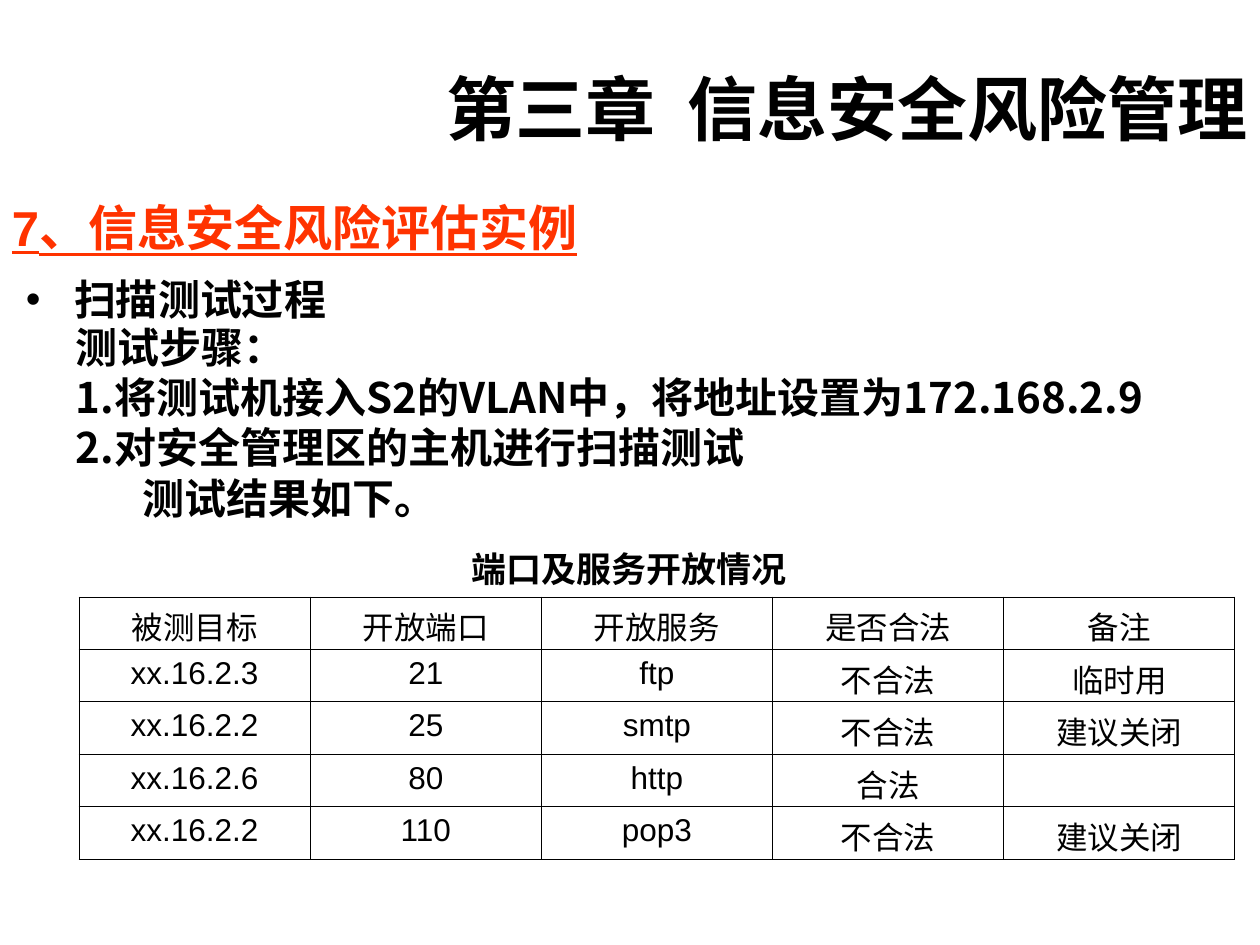
"""Build a slide on a security risk assessment example with a port table."""
import dataclasses
import typing

import lxml.etree
import pptx
import pptx.dml.color
import pptx.enum.text
import pptx.oxml.ns
import pptx.util

EMU_PER_PX = 914400 / 126
BLACK = "000000"
RED = "FF3300"
CJK = "Noto Sans CJK JP"
LEFT = pptx.enum.text.PP_ALIGN.LEFT
RIGHT = pptx.enum.text.PP_ALIGN.RIGHT
CENTER = pptx.enum.text.PP_ALIGN.CENTER
TOP = pptx.enum.text.MSO_ANCHOR.TOP
MIDDLE = pptx.enum.text.MSO_ANCHOR.MIDDLE
INSET_X = 13
INSET_Y = 6


@dataclasses.dataclass(frozen=True)
class Line:
    text: str
    bullet: str = ""
    margin: int = 0
    indent: int = 0


@dataclasses.dataclass(frozen=True)
class TextBlock:
    left: int
    top: int
    width: int
    height: int
    lines: tuple[Line, ...]
    size: int
    font: str = CJK
    color: str = BLACK
    underline: bool = False
    align: typing.Any = LEFT
    anchor: typing.Any = TOP
    spacing: float | None = None


BLOCKS = (
    TextBlock(199, 74, 1061, 67, (Line("第三章  信息安全风险管理"),), 40,
              font="Noto Sans CJK SC", align=RIGHT, anchor=MIDDLE),
    TextBlock(-1, 192, 1260, 72, (Line("7、信息安全风险评估实例"),), 28,
              font="Arial", color=RED, underline=True),
    TextBlock(13, 268, 1205, 113, (Line("扫描测试过程", "•", 48, -48),), 24, spacing=28.8),
    TextBlock(63, 315, 1171, 214, (
        Line("测试步骤："),
        Line("将测试机接入S2的VLAN中，将地址设置为172.168.2.9", "1."),
        Line("对安全管理区的主机进行扫描测试", "1."),
        Line("测试结果如下。", margin=67),
    ), 24, anchor=MIDDLE, spacing=28.8),
    TextBlock(458, 541, 360, 55, (Line("端口及服务开放情况"),), 20, spacing=24),
)

PORT_ROWS = (
    ("被测目标", "开放端口", "开放服务", "是否合法", "备注"),
    ("xx.16.2.3", "21", "ftp", "不合法", "临时用"),
    ("xx.16.2.2", "25", "smtp", "不合法", "建议关闭"),
    ("xx.16.2.6", "80", "http", "合法", ""),
    ("xx.16.2.2", "110", "pop3", "不合法", "建议关闭"),
)


def px(length: int) -> int:
    """Convert px to EMU."""
    return round(length * EMU_PER_PX)


def rgb(color: str) -> pptx.dml.color.RGBColor:
    """Convert a hex string to a colour."""
    return pptx.dml.color.RGBColor.from_string(color)


def add_child(parent: typing.Any, tag: str, **attributes: str) -> typing.Any:
    """Append a DrawingML element."""
    return lxml.etree.SubElement(parent, pptx.oxml.ns.qn(f"a:{tag}"), attributes)


def set_bullet(paragraph: typing.Any, line: Line) -> None:
    """Apply the indents and the bullet or number of a line."""
    properties = paragraph._p.get_or_add_pPr()
    properties.set("marL", str(px(line.margin)))
    properties.set("indent", str(px(line.indent)))
    if line.bullet == "1.":
        add_child(properties, "buFontTx")
        add_child(properties, "buAutoNum", type="arabicPeriod")
    elif line.bullet:
        add_child(properties, "buFont", typeface="Arial")
        add_child(properties, "buChar", char=line.bullet)
    else:
        add_child(properties, "buNone")


def style_runs(paragraph: typing.Any, size: int, font: str, color: str,
               bold: bool = False, underline: bool = False) -> None:
    """Format every run of a paragraph."""
    for run in paragraph.runs:
        run.font.size = pptx.util.Pt(size)
        run.font.name = font
        run.font.bold = bold
        run.font.underline = underline
        run.font.color.rgb = rgb(color)
        add_child(run._r.get_or_add_rPr(), "ea", typeface=CJK)


def add_text_block(slide: typing.Any, block: TextBlock) -> None:
    """Draw one text box."""
    shape = slide.shapes.add_textbox(
        px(block.left), px(block.top), px(block.width), px(block.height))
    frame = shape.text_frame
    frame.word_wrap = True
    frame.vertical_anchor = block.anchor
    frame.margin_left = frame.margin_right = px(INSET_X)
    frame.margin_top = frame.margin_bottom = px(INSET_Y)
    frame.text = "\n".join(line.text for line in block.lines)
    for paragraph, line in zip(frame.paragraphs, block.lines):
        set_bullet(paragraph, line)
        paragraph.alignment = block.align
        if block.spacing:
            paragraph.line_spacing = pptx.util.Pt(block.spacing)
        style_runs(paragraph, block.size, block.font, block.color, True, block.underline)


def style_cell(cell: typing.Any) -> None:
    """Format one table cell with thin black borders."""
    properties = cell._tc.get_or_add_tcPr()
    for side in ("lnL", "lnR", "lnT", "lnB"):
        border = add_child(properties, side, w=str(pptx.util.Pt(0.45)))
        add_child(add_child(border, "solidFill"), "srgbClr", val=BLACK)
    cell.fill.background()
    paragraph = cell.text_frame.paragraphs[0]
    paragraph.alignment = CENTER
    paragraph.font.size = pptx.util.Pt(18)
    style_runs(paragraph, 18, "Arial", BLACK)


def add_port_table(slide: typing.Any, left: int, top: int, width: int, height: int) -> None:
    """Draw the table of open ports and services."""
    table = slide.shapes.add_table(
        len(PORT_ROWS), len(PORT_ROWS[0]), px(left), px(top), px(width), px(height)).table
    table.first_row = False
    table.horz_banding = False
    for row, texts in zip(table.rows, PORT_ROWS):
        for cell, text in zip(row.cells, texts):
            cell.text = text
            style_cell(cell)


def main() -> None:
    """Build and save the slide."""
    presentation = pptx.Presentation()
    presentation.slide_width = px(1260)
    presentation.slide_height = px(945)
    slide = presentation.slides.add_slide(presentation.slide_layouts[6])
    for block in BLOCKS:
        add_text_block(slide, block)
    add_port_table(slide, 79, 597, 1156, 262)
    presentation.save("out.pptx")


if __name__ == "__main__":
    main()
